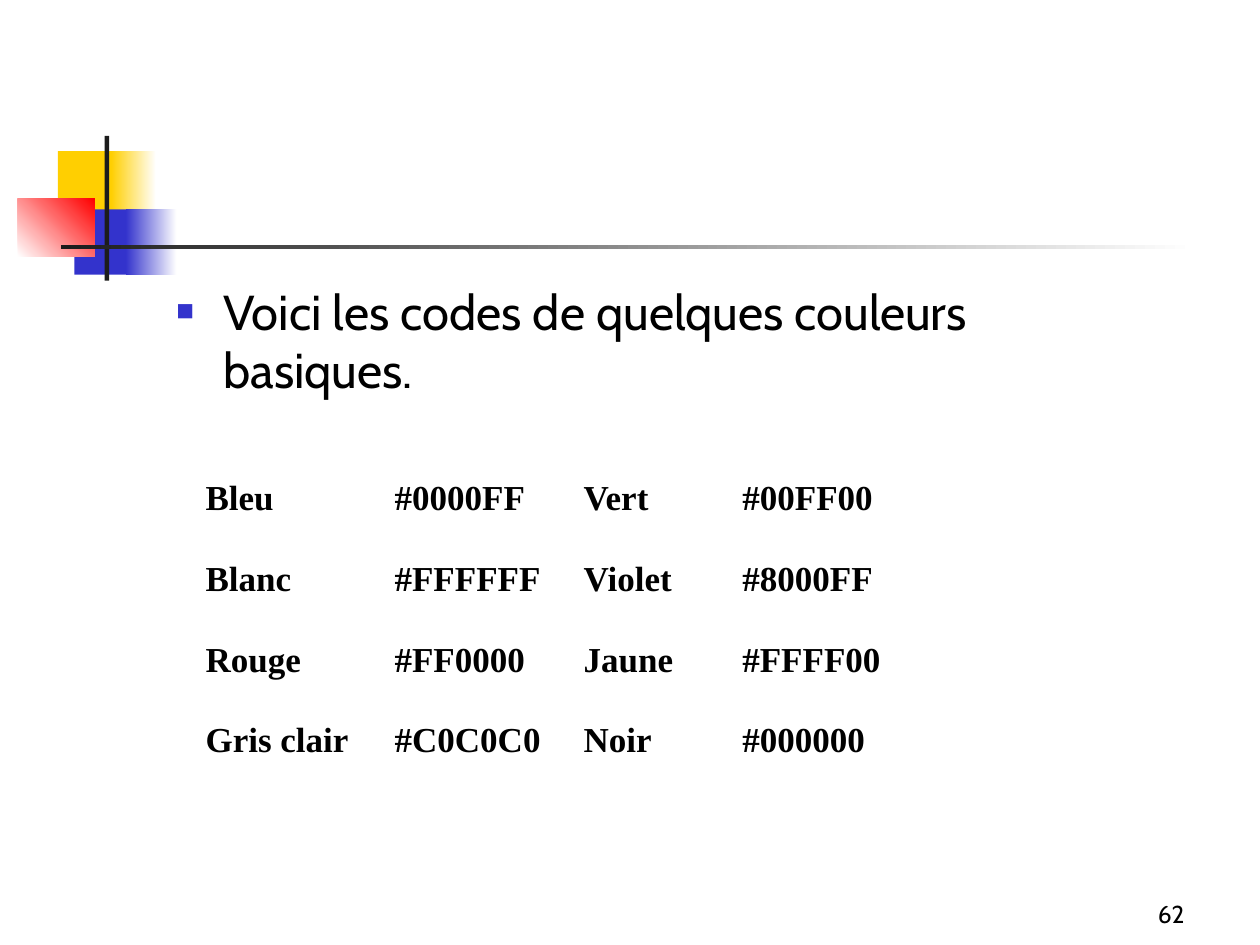
from pptx import Presentation, util as u
from pptx.dml.color import RGBColor
from pptx.enum import shapes, text
from pptx.oxml.ns import qn
from lxml import etree

# Content
LEAD = "Voici les codes de quelques couleurs basiques."
CODES = [
    ("Bleu", "#0000FF", "Vert", "#00FF00"),
    ("Blanc", "#FFFFFF", "Violet", "#8000FF"),
    ("Rouge", "#FF0000", "Jaune", "#FFFF00"),
    ("Gris clair", "#C0C0C0", "Noir", "#000000"),
]
PAGE = "62"

# Theme
THEME = dict(
    sans="Cabin", serif="Times New Roman",
    lead=28, cell=20, page=14,
    ink="000000", blue="3333CC", gold="FFCF01",
    red="FF0000", dark="1C1C1C", white="FFFFFF",
)

# Ornament: left, top, width, height in cm; start colour, end colour, angle
DECOR = [
    (1.17, 3.05, 1.22, 1.32, "gold", None, 0),
    (2.24, 3.05, 0.91, 1.32, "gold", "white", 0),
    (1.5, 4.22, 1.17, 1.32, "blue", None, 0),
    (2.54, 4.22, 1.02, 1.32, "blue", "white", 0),
    (0.36, 4.01, 1.55, 1.17, "white", "red", 45),
    (2.11, 2.74, 0.09, 2.92, "dark", None, 0),
    (1.23, 4.94, 22.86, 0.09, "dark", "white", 0),
]
BODY = (3.3, 5.54, 20.19, 4.19)
FOOT = (18.85, 17.58, 5.28, 1.27)
GRID = (3.89, 9.53)
COLS = (3.81, 3.81, 3.2, 8.38)
ROW = 1.63
HANG = 0.95


def hue(name):
    return RGBColor.from_string(THEME[name])


def box(spot):
    return [u.Cm(n) for n in spot]


def write(frame, words, font="sans", size="cell", bold=False,
          align=text.PP_ALIGN.LEFT, hang=0, mark=None):
    frame.word_wrap = True
    par = frame.paragraphs[0]
    par.text = words
    par.alignment = align
    par.space_before = u.Pt(0)
    props = par._p.get_or_add_pPr()
    props.set("marL", str(u.Cm(hang)))
    props.set("indent", str(-u.Cm(hang)))
    if mark:
        tint = etree.SubElement(props, qn("a:buClr"))
        etree.SubElement(tint, qn("a:srgbClr"), val=THEME["blue"])
        etree.SubElement(props, qn("a:buSzPct"), val="60000")
        etree.SubElement(props, qn("a:buChar"), char=mark)
    face = par.runs[0].font
    face.name, face.size, face.bold = THEME[font], u.Pt(THEME[size]), bold
    face.color.rgb = hue("ink")


def block(slide, spot, start, end, angle):
    shape = slide.shapes.add_shape(shapes.MSO_SHAPE.RECTANGLE, *box(spot))
    shape.shadow.inherit = False
    shape.line.fill.background()
    if end:
        shape.fill.gradient()
        shape.fill.gradient_angle = angle
        for stop, name in zip(shape.fill.gradient_stops, (start, end)):
            stop.color.rgb = hue(name)
    else:
        shape.fill.solid()
        shape.fill.fore_color.rgb = hue(start)


def main():
    deck = Presentation()
    deck.slide_width, deck.slide_height = u.Cm(25.4), u.Cm(19.05)
    slide = deck.slides.add_slide(deck.slide_layouts[1])
    title = slide.shapes.title
    title.element.getparent().remove(title.element)

    # Ornament
    for *spot, start, end, angle in DECOR:
        block(slide, spot, start, end, angle)

    # Lead sentence
    body = slide.placeholders[1]
    body.left, body.top, body.width, body.height = box(BODY)
    body.text_frame.auto_size = text.MSO_AUTO_SIZE.NONE
    write(body.text_frame, LEAD, size="lead", hang=HANG, mark="■")

    # Colour codes
    area = box((*GRID, sum(COLS), ROW * len(CODES)))
    table = slide.shapes.add_table(len(CODES), len(COLS), *area).table
    table.first_row = table.horz_banding = False
    for col, width in zip(table.columns, COLS):
        col.width = u.Cm(width)
    for row, words in zip(table.rows, CODES):
        row.height = u.Cm(ROW)
        for cell, word in zip(row.cells, words):
            cell.fill.background()
            write(cell.text_frame, word, font="serif", bold=True,
                  align=text.PP_ALIGN.JUSTIFY, hang=HANG)

    # Page number
    foot = slide.shapes.add_textbox(*box(FOOT)).text_frame
    foot.vertical_anchor = text.MSO_ANCHOR.BOTTOM
    write(foot, PAGE, size="page", align=text.PP_ALIGN.RIGHT)

    deck.save("out.pptx")


if __name__ == "__main__":
    main()
